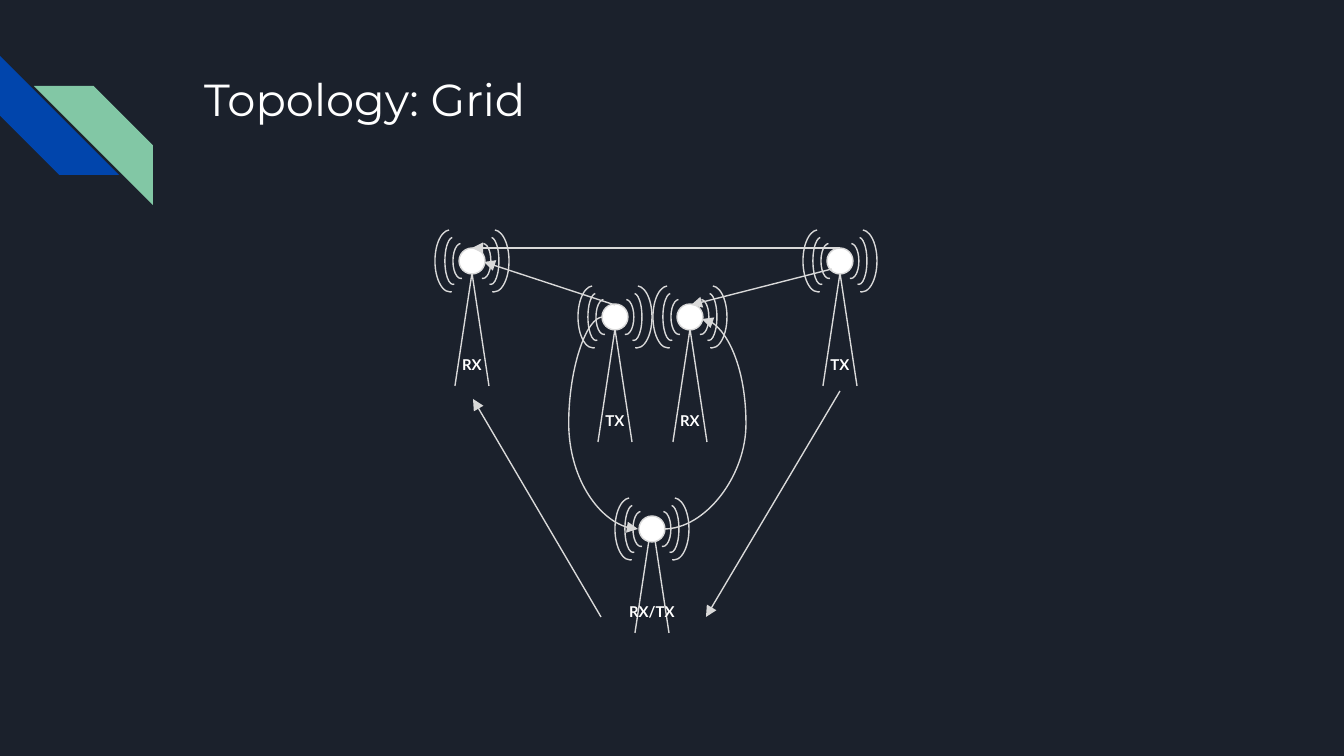
"""Build the grid topology slide: five radio towers and the links between them."""
from lxml import etree
from pptx import Presentation
from pptx import util as u
from pptx.dml.color import RGBColor
from pptx.enum import shapes, text
from pptx.oxml.ns import qn

COLORS = {
    "background": "1B212C",
    "blue": "0145AC",
    "green": "82C7A5",
    "white": "FFFFFF",
    "line": "D9D9D9",
}
BALL_RADIUS = 13
LEG_SPREAD, LEG_HEIGHT = 17, 113
WAVES = [(19, 16, 35), (37, 30, 62), (27, 16, 47)]
WAVE_ANGLES = (51.97, 161.01)
LABEL_HEIGHT = 46
TOWERS = [
    ("TX", 615, 317, 12, 47),
    ("RX", 690, 317, 12, 58),
    ("RX", 472, 261, 12, 58),
    ("TX", 840, 261, 12, 47),
    ("RX/TX", 652, 529, -9, 73),
]
LINKS = [
    ((615, 305), (484, 262)),
    ((832, 269), (691, 305)),
    ((840, 248), (472, 248)),
    ((601, 617), (473, 399)),
    ((840, 391), (706, 617)),
]
CURVED_LINKS = [
    ((664, 529), (702, 319), 2.16, "tailEnd"),
    ((638, 529), (603, 317), 1.98, "headEnd"),
]


def px(length):
    """Turn whole pixels into EMU."""
    return u.Emu(round(length * 914400 / 134.4))


def color(name):
    """Look up a named colour."""
    return RGBColor.from_string(COLORS[name])


def add_shape(slide, kind, box, fill=None, outline=None, flip=False):
    """Add a preset shape with an optional fill and outline."""
    shape = slide.shapes.add_shape(kind, *map(px, box))
    shape.shadow.inherit = False
    if fill:
        shape.fill.solid()
        shape.fill.fore_color.rgb = color(fill)
    else:
        shape.fill.background()
    if outline:
        shape.line.color.rgb = color(outline)
        shape.line.width = u.Pt(0.75)
    else:
        shape.line.fill.background()
    if flip:
        shape.element.spPr.get_or_add_xfrm().set("flipH", "1")
    return shape


def add_text(slide, words, box, font_name, size, bold=False, centered=False):
    """Add a one-line text box."""
    shape = slide.shapes.add_textbox(*map(px, box))
    frame = shape.text_frame
    frame.margin_left = frame.margin_right = u.Inches(0.1)
    frame.margin_top = frame.margin_bottom = u.Inches(0.1)
    frame.word_wrap = not centered
    paragraph = frame.paragraphs[0]
    paragraph.text = words
    paragraph.alignment = text.PP_ALIGN.CENTER if centered else text.PP_ALIGN.LEFT
    paragraph.font.name = font_name
    paragraph.font.size = u.Pt(size)
    paragraph.font.bold = bold
    paragraph.font.color.rgb = color("white")


def add_line(slide, start, end, arrow=None, bend=None):
    """Add a straight line, or a curve when a bend is given."""
    kind = shapes.MSO_CONNECTOR.CURVE if bend else shapes.MSO_CONNECTOR.STRAIGHT
    connector = slide.shapes.add_connector(kind, *map(px, start + end))
    connector.line.color.rgb = color("line")
    connector.line.width = u.Pt(0.75)
    properties = connector.element.spPr
    if arrow:
        outline = connector.line.get_or_add_ln() if hasattr(connector.line, "get_or_add_ln") else properties.find(qn("a:ln"))
        etree.SubElement(outline, qn(f"a:{arrow}"), type="triangle")
    if bend:
        adjustments = properties.find(qn("a:prstGeom")).find(qn("a:avLst"))
        etree.SubElement(adjustments, qn("a:gd"), name="adj1", fmla=f"val {round(bend * 100000)}")
    etree.SubElement(properties, qn("a:effectLst"))


def add_tower(slide, label, x, y, leg_offset, label_width):
    """Add a tower centred on its antenna ball, with waves and a label."""
    top = y + leg_offset
    for side in (1, -1):
        add_line(slide, (x, top), (x + side * LEG_SPREAD, top + LEG_HEIGHT))
    ball = (x - BALL_RADIUS, y - BALL_RADIUS, 2 * BALL_RADIUS, 2 * BALL_RADIUS)
    add_shape(slide, shapes.MSO_SHAPE.OVAL, ball, "white", "line")
    for reach, width, height in WAVES:
        for left, flip in ((x - reach, False), (x + reach - width, True)):
            box = (left, y - height / 2, width, height)
            wave = add_shape(slide, shapes.MSO_SHAPE.ARC, box, outline="line", flip=flip)
            wave.adjustments[0], wave.adjustments[1] = WAVE_ANGLES
    box = (x - label_width / 2, top + 74, label_width, LABEL_HEIGHT)
    add_text(slide, label, box, "Lato", 8, bold=True, centered=True)


def main():
    """Build and save the slide."""
    presentation = Presentation()
    presentation.slide_width, presentation.slide_height = px(1344), px(756)
    slide = presentation.slides.add_slide(presentation.slide_layouts[6])
    slide.background.fill.solid()
    slide.background.fill.fore_color.rgb = color("background")

    stripe = shapes.MSO_SHAPE.DIAGONAL_STRIPE
    add_shape(slide, stripe, (0, 56, 119, 119), "blue").rotation = 270
    add_shape(slide, stripe, (34, 86, 119, 119), "green", flip=True)
    add_text(slide, "Topology: Grid", (191, 58, 1035, 134), "Montserrat", 24)

    for tower in TOWERS:
        add_tower(slide, *tower)
    for start, end in LINKS:
        add_line(slide, start, end, "tailEnd")
    for start, end, bend, arrow in CURVED_LINKS:
        add_line(slide, start, end, arrow, bend)
    presentation.save("out.pptx")


if __name__ == "__main__":
    main()
